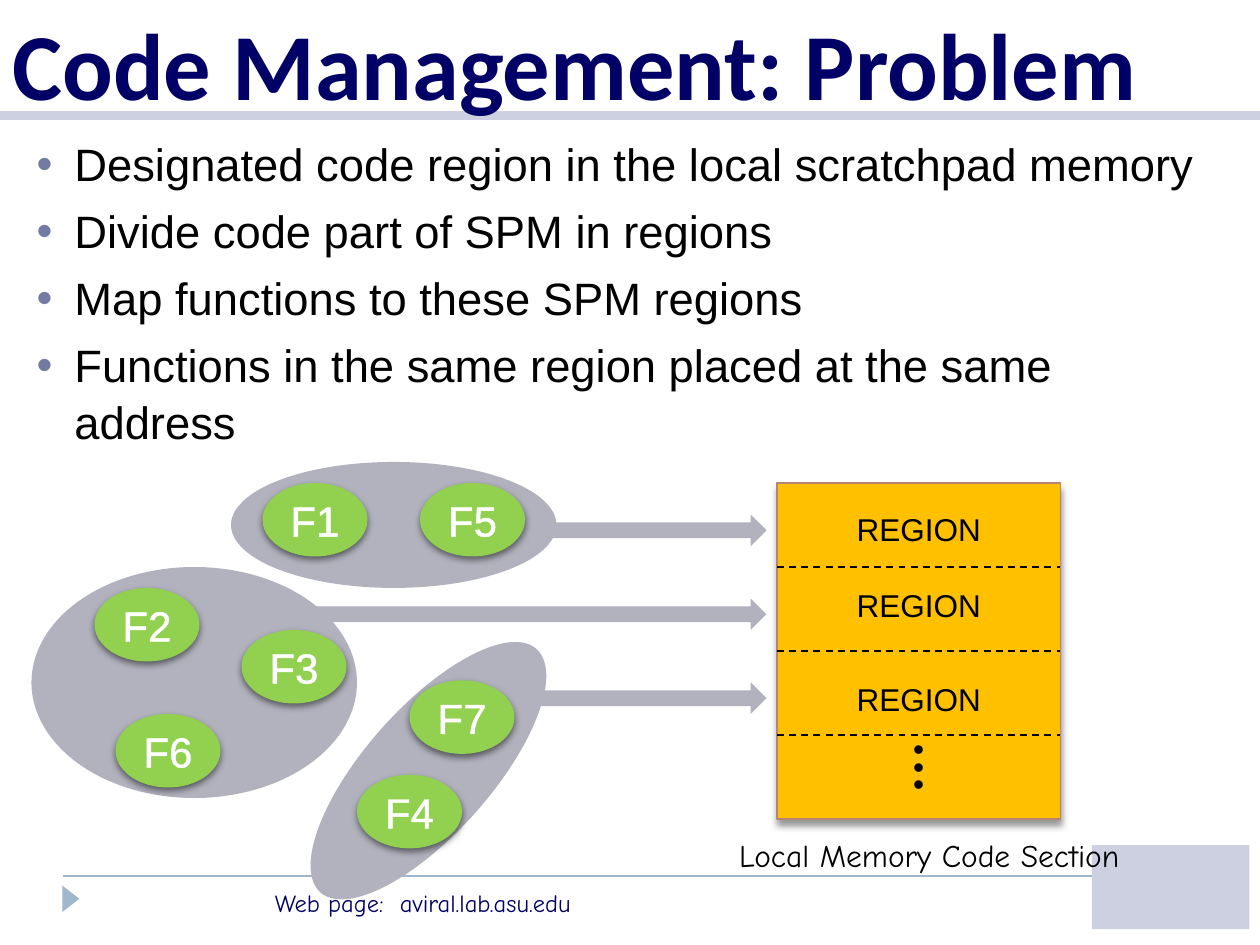
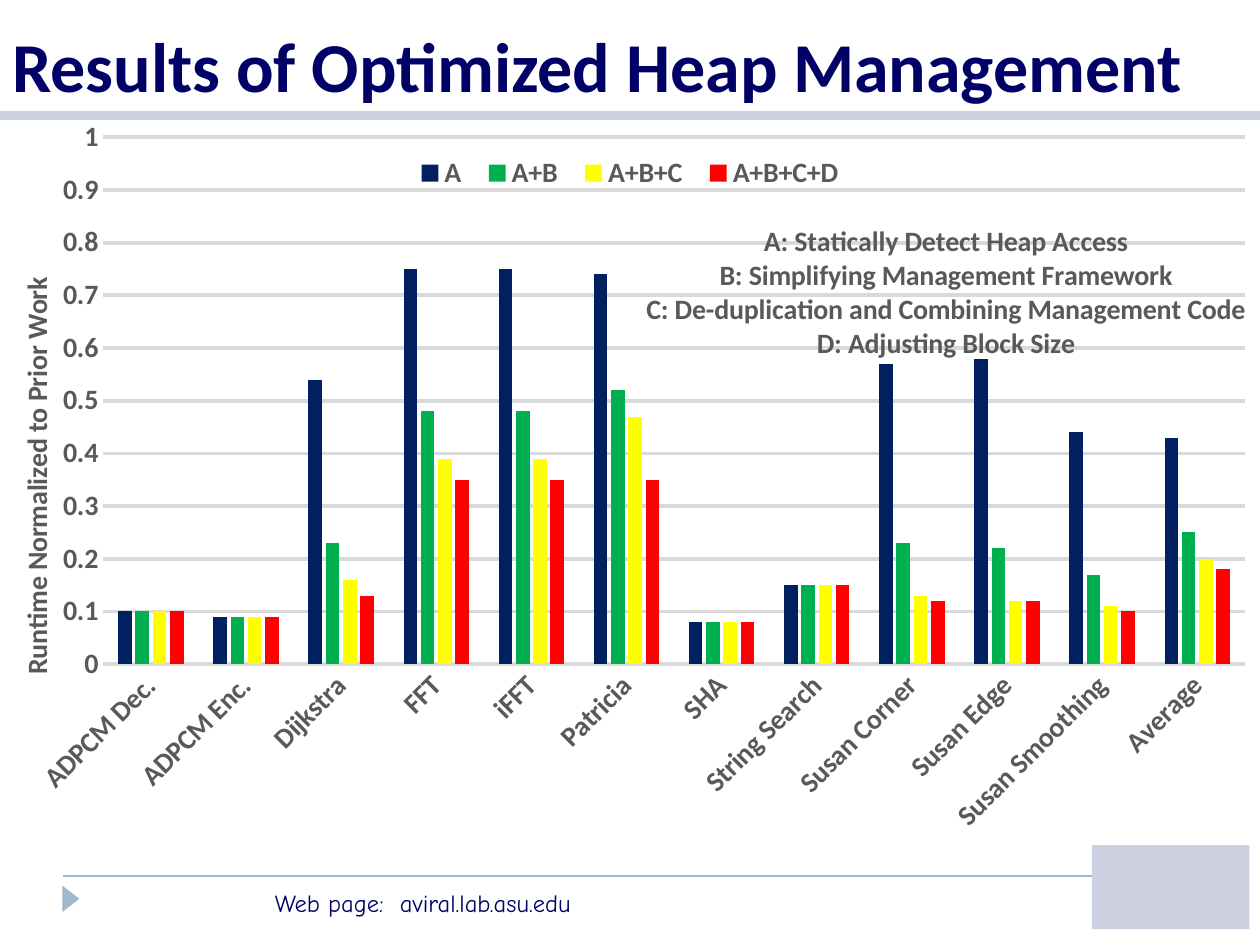
from lxml import etree
from pptx import Presentation
from pptx import util as u
from pptx.chart.data import CategoryChartData
from pptx.dml.color import RGBColor
from pptx.enum import chart as charts, dml, shapes, text
from pptx.oxml.ns import qn

PX = 7620  # 120 px to the inch
COLORS = {
    "navy": "000066", "rule": "9FB8CD", "band": "CCD0E0", "bullet": "727CA3",
    "group": "B2B2BE", "function": "92D050", "memory": "FFC000", "memory_edge": "B88472",
    "black": "000000", "white": "FFFFFF", "chart_text": "595959", "grid": "D9D9D9",
    "A": "002060", "A+B": "00B050", "A+B+C": "FFFF00", "A+B+C+D": "FF0000",
}
SHAPE = shapes.MSO_SHAPE
CENTER = text.PP_ALIGN.CENTER
MIDDLE = text.MSO_ANCHOR.MIDDLE


def rgb(name):
    return RGBColor.from_string(COLORS[name])


def add_xml(parent, tag, **attributes):
    return etree.SubElement(parent, qn(tag), {key: str(value) for key, value in attributes.items()})


def set_layout(element, index, x, y, size=None, inner=False):
    """Place a chart part by fractions of the chart; index is where c:layout belongs."""
    for old in element.findall(qn("c:layout")):
        element.remove(old)
    layout = etree.Element(qn("c:layout"))
    element.insert(index, layout)
    manual = add_xml(layout, "c:manualLayout")
    if inner:
        add_xml(manual, "c:layoutTarget", val="inner")
    for axis in "xy":
        add_xml(manual, f"c:{axis}Mode", val="edge")
    for tag, value in zip("xywh", (x, y) + (size or ())):
        add_xml(manual, f"c:{tag}", val=value)


class Deck:
    """Holds the shared style and the slide being built."""

    def __init__(self):
        self.presentation = Presentation()
        self.presentation.slide_width = 1200 * PX
        self.presentation.slide_height = 900 * PX
        self.slide = None

    def new_slide(self, title, size, height):
        self.slide = self.presentation.slides.add_slide(self.presentation.slide_layouts[6])
        self.line(60, 834, 1040, 834, "rule", 1)
        self.line(0, 110, 1200, 110, "band", 5)
        self.shape(SHAPE.ISOSCELES_TRIANGLE, 55, 848, 25, 16, "rule", rotation=90)
        footer = self.text(["Web page:\taviral.lab.asu.edu"], 250, 840, 450, 41,
                           14, "Comic Neue", "navy")
        properties = footer.text_frame.paragraphs[0]._p.get_or_add_pPr()
        add_xml(add_xml(properties, "a:tabLst"), "a:tab", pos=119 * PX, algn="l")
        self.shape(SHAPE.RECTANGLE, 1040, 805, 150, 80, "band")
        self.text([title], 0, 0, 1200, height, size, "Calibri", "navy", bold=True,
                  anchor=text.MSO_ANCHOR.BOTTOM)

    def font(self, font, size, name, color, bold=False):
        font.size, font.name, font.bold = u.Pt(size), name, bold
        font.color.rgb = rgb(color)

    def line(self, x1, y1, x2, y2, color, width, dashed=False):
        connector = self.slide.shapes.add_connector(
            shapes.MSO_CONNECTOR.STRAIGHT, x1 * PX, y1 * PX, x2 * PX, y2 * PX)
        connector.line.color.rgb = rgb(color)
        connector.line.width = u.Pt(width)
        if dashed:
            connector.line.dash_style = dml.MSO_LINE.DASH
        add_xml(connector._element.spPr, "a:effectLst")
        return connector

    def shape(self, kind, x, y, width, height, fill, rotation=0, edge=None):
        shape = self.slide.shapes.add_shape(kind, x * PX, y * PX, width * PX, height * PX)
        shape.rotation = rotation
        shape.shadow.inherit = False
        shape.fill.solid()
        shape.fill.fore_color.rgb = rgb(fill)
        if edge:
            shape.line.color.rgb = rgb(edge)
            shape.line.width = u.Pt(0.75)
        else:
            shape.line.fill.background()
        return shape

    def drop_shadow(self, shape, opacity, distance):
        effects = shape._element.spPr.find(qn("a:effectLst"))
        shadow = add_xml(effects, "a:outerShdw", blurRad=u.Pt(4), dist=u.Pt(distance),
                         dir=5400000, rotWithShape=0)
        color = add_xml(shadow, "a:srgbClr", val=COLORS["black"])
        add_xml(color, "a:alpha", val=opacity * 1000)

    def text(self, lines, x, y, width, height, size, name, color, bold=False,
             align=None, anchor=text.MSO_ANCHOR.TOP, spacing=None):
        box = self.slide.shapes.add_textbox(x * PX, y * PX, width * PX, height * PX)
        frame = box.text_frame
        frame.word_wrap = True
        frame.vertical_anchor = anchor
        self.fill_frame(frame, lines, size, name, color, bold, align, spacing)
        return box

    def fill_frame(self, frame, lines, size, name, color, bold=False, align=None, spacing=None):
        for index, line in enumerate(lines):
            paragraph = frame.add_paragraph() if index else frame.paragraphs[0]
            paragraph.alignment = align
            paragraph.line_spacing = spacing
            run = paragraph.add_run()
            run.text = line
            self.font(run.font, size, name, color, bold)

    def bullets(self, lines, x, y, width, height):
        box = self.text(lines, x, y, width, height, 25.9, "Arial", "black", spacing=1.04)
        for index, paragraph in enumerate(box.text_frame.paragraphs):
            if index:
                paragraph.space_before = u.Pt(6)
            properties = paragraph._p.get_or_add_pPr()
            properties.set("marL", str(36 * PX))
            properties.set("indent", str(-36 * PX))
            add_xml(add_xml(properties, "a:buClr"), "a:srgbClr", val=COLORS["bullet"])
            add_xml(properties, "a:buFont", typeface="Arial")
            add_xml(properties, "a:buChar", char="•")

    def function(self, label, x, y):
        """Draw a green oval that stands for one function."""
        oval = self.shape(SHAPE.OVAL, x, y, 100, 70, "function")
        self.drop_shadow(oval, 50, 2)
        frame = oval.text_frame
        frame.word_wrap = False
        frame.vertical_anchor = MIDDLE
        self.fill_frame(frame, [label], 24, "Arial", "white", align=CENTER)
        properties = frame.paragraphs[0].runs[0]._r.get_or_add_rPr()
        outline = etree.Element(qn("a:ln"), w=str(u.Pt(1.45)))
        add_xml(add_xml(outline, "a:solidFill"), "a:srgbClr", val=COLORS["white"])
        properties.insert(0, outline)

    def column_chart(self, categories, series, title, axis_title, x, y, width, height):
        data = CategoryChartData()
        data.categories = categories
        for name, values in series.items():
            data.add_series(name, values)
        chart = self.slide.shapes.add_chart(
            charts.XL_CHART_TYPE.COLUMN_CLUSTERED,
            x * PX, y * PX, width * PX, height * PX, data).chart
        style = (16, "Calibri", "chart_text", True)
        self.font(chart.font, *style)

        plot = chart.plots[0]
        plot.gap_width, plot.overlap, plot.vary_by_categories = 219, -27, False
        for column in plot.series:
            column.format.fill.solid()
            column.format.fill.fore_color.rgb = rgb(column.name)
        set_layout(chart._chartSpace.find(".//" + qn("c:plotArea")), 0,
                   0.082, 0.033, (0.906, 0.693), inner=True)

        self.fill_frame(chart.chart_title.text_frame, title, *style, align=CENTER)
        set_layout(chart.chart_title._element, 1, 0.51, 0.14)
        chart.has_legend = True
        chart.legend.position = charts.XL_LEGEND_POSITION.BOTTOM
        chart.legend.include_in_layout = False
        self.font(chart.legend.font, *style)
        set_layout(chart.legend._element, 1, 0.32, 0.05, (0.36, 0.06))

        value_axis, category_axis = chart.value_axis, chart.category_axis
        for axis in (value_axis, category_axis):
            axis.major_tick_mark = axis.minor_tick_mark = charts.XL_TICK_MARK.NONE
            self.font(axis.tick_labels.font, *style)
        value_axis.minimum_scale, value_axis.maximum_scale, value_axis.major_unit = 0, 1, 0.1
        value_axis.format.line.fill.background()
        for line, weight in ((value_axis.major_gridlines.format.line, 2.25),
                             (category_axis.format.line, 0.75)):
            line.color.rgb = rgb("grid")
            line.width = u.Pt(weight)
        self.fill_frame(value_axis.axis_title.text_frame, [axis_title], *style)
        value_axis.axis_title._element.find(".//" + qn("a:bodyPr")).set("rot", "-5400000")
        set_layout(value_axis.axis_title._element, 1, 0.01, 0.21)
        category_axis._element.find(qn("c:txPr")).find(qn("a:bodyPr")).set("rot", "-2700000")


def code_management(deck):
    deck.new_slide("Code Management: Problem", 54, 120)
    deck.bullets(["Designated code region in the local scratchpad memory",
                  "Divide code part of SPM in regions",
                  "Map functions to these SPM regions",
                  "Functions in the same region placed at the same address"],
                 23, 122, 1148, 290)

    for x, y, height, rotation in ((220, 440, 120, 0), (253, 674, 120, 131.6),
                                   (30, 540, 220, 0)):
        deck.shape(SHAPE.OVAL, x, y, 310, height, "group", rotation)
    for label, x, y in (("F1", 250, 460), ("F3", 230, 600), ("F6", 110, 680),
                        ("F5", 400, 460), ("F7", 390, 648), ("F4", 340, 738),
                        ("F2", 90, 560)):
        deck.function(label, x, y)

    left, top, width, region_height = 740, 460, 270, 80
    memory = deck.shape(SHAPE.RECTANGLE, left, top, width, 4 * region_height,
                        "memory", edge="memory_edge")
    deck.drop_shadow(memory, 40, 3.4)
    dividers = [deck.line(left, y, left + width, y, "black", 1, dashed=True)
                for y in range(top + region_height, top + 4 * region_height, region_height)]
    dividers[1].begin_connect(memory, 1)
    dividers[1].end_connect(memory, 3)

    for index, start in enumerate((520, 300, 510)):
        deck.shape(SHAPE.RIGHT_ARROW, start, 490 + index * region_height, 730 - start, 30, "group")
    for y in (480, 552, 642):
        deck.text(["REGION"], 760, y, 230, 48, 18, "Arial", "black",
                  align=CENTER, anchor=MIDDLE)
    deck.text(["•"] * 3, 760, 708, 230, 62, 18, "Arial", "black",
              align=CENTER, anchor=MIDDLE, spacing=u.Pt(10))
    deck.text(["Local Memory Code Section"], 670, 790, 430, 48, 18, "Comic Neue", "black",
              align=CENTER)


def heap_results(deck):
    deck.new_slide("Results of Optimized Heap Management", 40, 107)
    categories = ["ADPCM Dec.", "ADPCM Enc.", "Dijkstra", "FFT", "iFFT", "Patricia", "SHA",
                  "String Search", "Susan Corner", "Susan Edge", "Susan Smoothing", "Average"]
    runtimes = {
        "A": (0.1, 0.09, 0.54, 0.75, 0.75, 0.74, 0.08, 0.15, 0.57, 0.58, 0.44, 0.43),
        "A+B": (0.1, 0.09, 0.23, 0.48, 0.48, 0.52, 0.08, 0.15, 0.23, 0.22, 0.17, 0.25),
        "A+B+C": (0.1, 0.09, 0.16, 0.39, 0.39, 0.47, 0.08, 0.15, 0.13, 0.12, 0.11, 0.2),
        "A+B+C+D": (0.1, 0.09, 0.13, 0.35, 0.35, 0.35, 0.08, 0.15, 0.12, 0.12, 0.1, 0.18),
    }
    deck.column_chart(categories, runtimes,
                      ["A: Statically Detect Heap Access",
                       "B: Simplifying Management Framework",
                       "C: De-duplication and Combining Management Code",
                       "D: Adjusting Block Size"],
                      "Runtime Normalized to Prior Work", 0, 107, 1200, 724)


def main():
    deck = Deck()
    code_management(deck)
    heap_results(deck)
    deck.presentation.save("out.pptx")


if __name__ == "__main__":
    main()
